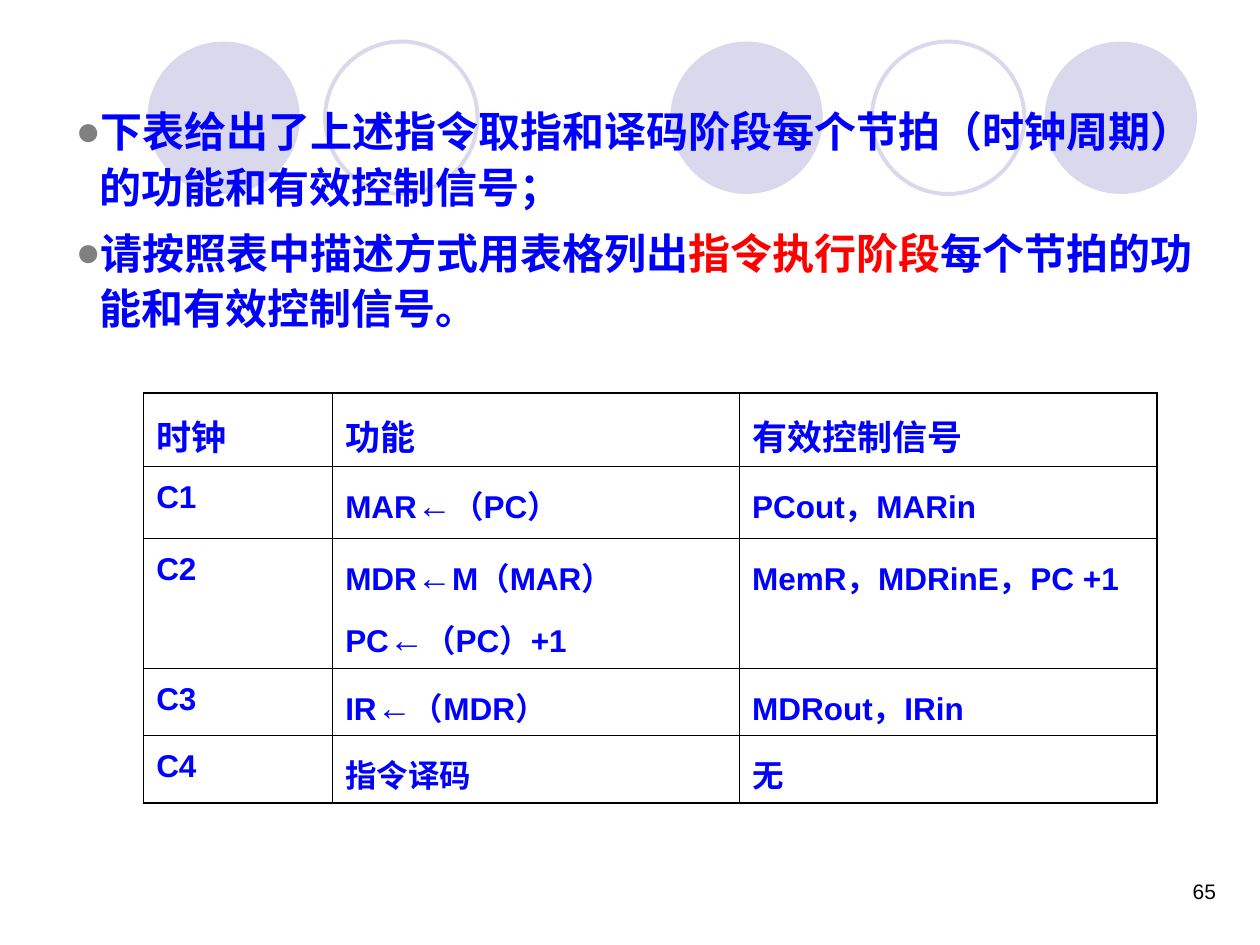
from typing import NamedTuple

from lxml import etree
from pptx import Presentation
from pptx.dml.color import RGBColor
from pptx.enum.shapes import MSO_SHAPE
from pptx.enum.text import MSO_AUTO_SIZE, PP_ALIGN
from pptx.oxml.ns import qn
from pptx.util import Inches, Pt

OVAL = MSO_SHAPE.OVAL
RIGHT = PP_ALIGN.RIGHT
NO_AUTOFIT = MSO_AUTO_SIZE.NONE

LAVENDER = RGBColor(0xD9, 0xD8, 0xEC)
BLUE = RGBColor(0x00, 0x00, 0xFF)
RED = RGBColor(0xFF, 0x00, 0x00)
BLACK = RGBColor(0x00, 0x00, 0x00)
GRAY = RGBColor(0x80, 0x80, 0x80)

SLIDE_WIDTH, SLIDE_HEIGHT = Inches(10), Inches(7.5)
CIRCLE_SIZE = 0.121  # share of the slide's width
CIRCLE_TOP = 0.044  # share of the slide's height
OUTER_BORDER, INNER_BORDER = 1.08, 0.45
ARROW = "←"


class Circle(NamedTuple):
    left: float  # share of the slide's width
    filled: bool


class Run(NamedTuple):
    text: str
    color: RGBColor = BLUE


CIRCLES = [
    Circle(0.532, True),
    Circle(0.829, True),
    Circle(0.117, True),
    Circle(0.692, False),
    Circle(0.258, False),
]
BULLETS = [
    [Run("下表给出了上述指令取指和译码阶段每个节拍（时钟周期）的功能和有效控制信号；")],
    [
        Run("请按照表中描述方式用表格列出"),
        Run("指令执行阶段", RED),
        Run("每个节拍的功能和有效控制信号。"),
    ],
]
COLUMN_WIDTHS = [1.5, 3.23, 3.31]
ROW_HEIGHTS = [0.5, 0.57, 0.97, 0.52, 0.49]
TABLE_ROWS = [
    ["时钟", "功能", "有效控制信号"],
    ["C1", "MAR←（PC）", "PCout，MARin"],
    ["C2", "MDR←M（MAR）\nPC←（PC）+1", "MemR，MDRinE，PC +1"],
    ["C3", "IR←（MDR）", "MDRout，IRin"],
    ["C4", "指令译码", "无"],
]


def add_run(paragraph, text: str, *, size: float, color: RGBColor = BLUE, bold: bool = True) -> None:
    run = paragraph.add_run()
    run.text = text
    run.font.name = "Arial"
    run.font.size = Pt(size)
    run.font.bold = bold
    run.font.color.rgb = color


def space_paragraph(paragraph, *, line: float, gap: float, first: bool) -> None:
    paragraph.line_spacing = line
    paragraph.space_before = Pt(0 if first else gap)
    paragraph.space_after = Pt(gap)


def add_circle(slide, circle: Circle) -> None:
    size = int(SLIDE_WIDTH * CIRCLE_SIZE)
    shape = slide.shapes.add_shape(
        OVAL, int(SLIDE_WIDTH * circle.left), int(SLIDE_HEIGHT * CIRCLE_TOP), size, size
    )
    shape.shadow.inherit = False
    if circle.filled:
        shape.fill.solid()
        shape.fill.fore_color.rgb = LAVENDER
        shape.line.fill.background()
    else:
        shape.fill.background()
        shape.line.color.rgb = LAVENDER
        shape.line.width = Pt(2.25)


def set_bullet(paragraph, character: str, color: RGBColor) -> None:
    properties = paragraph._p.get_or_add_pPr()
    properties.set("marL", str(Inches(0.19)))
    properties.set("indent", str(-Inches(0.19)))
    bullet_color = etree.SubElement(properties, qn("a:buClr"))
    etree.SubElement(bullet_color, qn("a:srgbClr"), val=str(color))
    etree.SubElement(properties, qn("a:buFont"), typeface="Arial")
    etree.SubElement(properties, qn("a:buChar"), char=character)


def fill_body(body) -> None:
    body.left, body.top = Inches(0.5), Inches(0.75)
    body.width, body.height = Inches(9.25), Inches(2.06)
    frame = body.text_frame
    frame.auto_size = NO_AUTOFIT
    for index, runs in enumerate(BULLETS):
        paragraph = frame.add_paragraph() if index else frame.paragraphs[0]
        set_bullet(paragraph, "●", GRAY)
        space_paragraph(paragraph, line=1.1, gap=3, first=index == 0)
        for run in runs:
            add_run(paragraph, run.text, size=24, color=run.color)


def set_borders(cell, widths: dict[str, float]) -> None:
    properties = cell._tc.get_or_add_tcPr()
    for position, (side, width) in enumerate(widths.items()):
        line = etree.Element(qn(f"a:{side}"), w=str(Pt(width)))
        fill = etree.SubElement(line, qn("a:solidFill"))
        etree.SubElement(fill, qn("a:srgbClr"), val=str(BLACK))
        properties.insert(position, line)


def fill_cell(cell, text: str, *, size: float, gap: float) -> None:
    cell.fill.background()
    for index, line in enumerate(text.split("\n")):
        frame = cell.text_frame
        paragraph = frame.add_paragraph() if index else frame.paragraphs[0]
        space_paragraph(paragraph, line=1.2, gap=gap, first=index == 0)
        for part in line.partition(ARROW):
            if part:
                add_run(paragraph, part, size=20 if part == ARROW else size)


def add_signal_table(slide) -> None:
    row_count, column_count = len(ROW_HEIGHTS), len(COLUMN_WIDTHS)
    table = slide.shapes.add_table(
        row_count, column_count, Inches(1.14), Inches(3.12),
        Inches(sum(COLUMN_WIDTHS)), Inches(sum(ROW_HEIGHTS)),
    ).table
    table.first_row = table.horz_banding = False
    for column, width in zip(table.columns, COLUMN_WIDTHS):
        column.width = Inches(width)
    for row, height in zip(table.rows, ROW_HEIGHTS):
        row.height = Inches(height)
    for row, texts in enumerate(TABLE_ROWS):
        for column, text in enumerate(texts):
            cell = table.cell(row, column)
            fill_cell(cell, text, size=18 if row else 20, gap=2.2 if row else 2.5)
            on_edge = {
                "lnL": column == 0,
                "lnR": column == column_count - 1,
                "lnT": row == 0,
                "lnB": row == row_count - 1,
            }
            set_borders(cell, {
                side: OUTER_BORDER if outer else INNER_BORDER
                for side, outer in on_edge.items()
            })


def add_page_number(slide, number: str) -> None:
    box = slide.shapes.add_textbox(Inches(7.42), Inches(6.92), Inches(2.33), Inches(0.5))
    box.text_frame.word_wrap = True
    paragraph = box.text_frame.paragraphs[0]
    paragraph.alignment = RIGHT
    add_run(paragraph, number, size=12, color=BLACK, bold=False)


def main() -> None:
    presentation = Presentation()
    presentation.slide_width, presentation.slide_height = SLIDE_WIDTH, SLIDE_HEIGHT
    slide = presentation.slides.add_slide(presentation.slide_layouts[1])

    # The slide has a body but no title
    title, body = slide.placeholders
    title.element.getparent().remove(title.element)

    # Decorative circles behind the text
    for circle in CIRCLES:
        add_circle(slide, circle)
    add_page_number(slide, "65")

    # Bulleted text, brought in front of the circles
    slide.shapes._spTree.append(body.element)
    fill_body(body)

    # Clock steps and control signals
    add_signal_table(slide)
    presentation.save("out.pptx")


if __name__ == "__main__":
    main()
